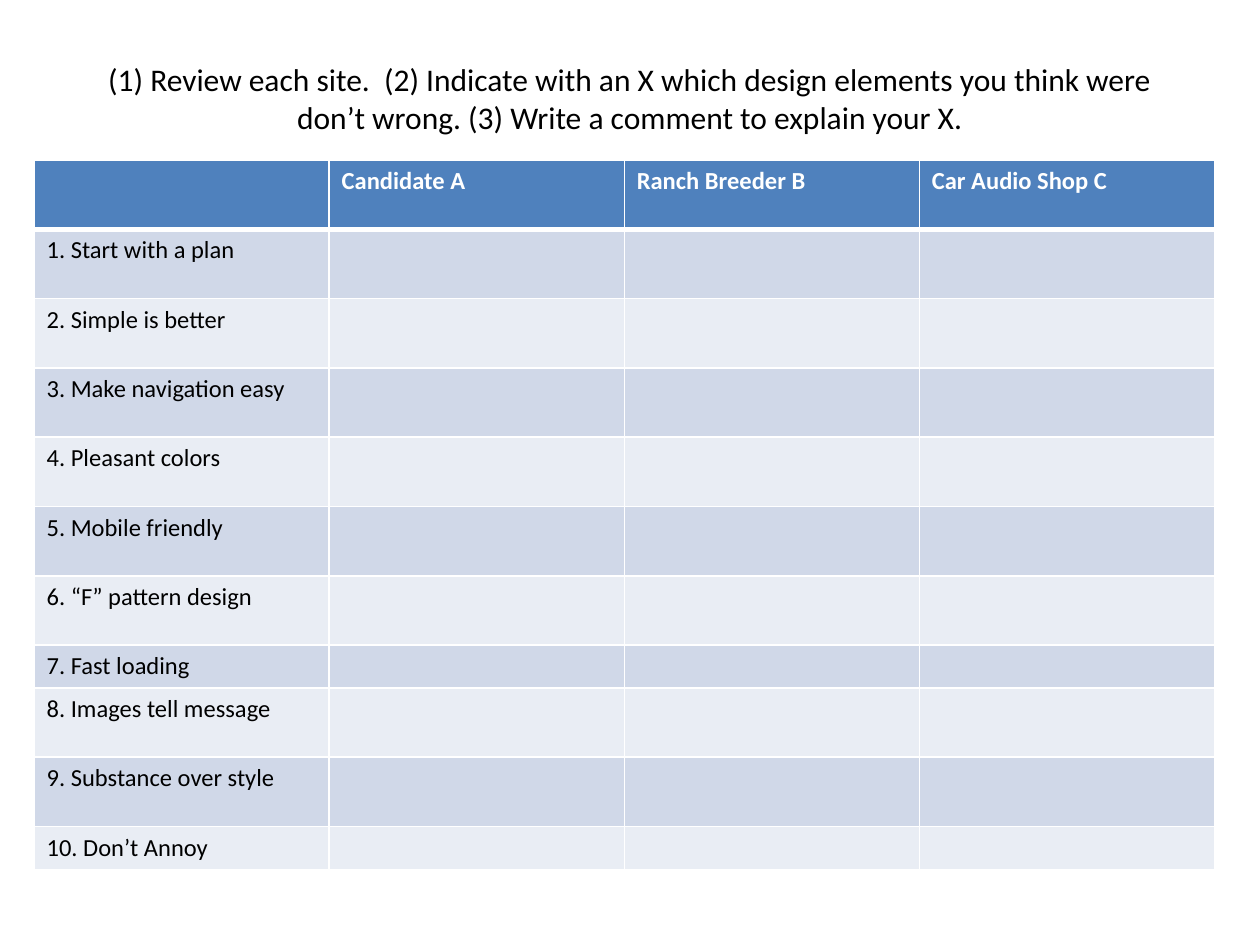
import pptx
import pptx.util
import pptx.dml.color
import pptx.enum.text
import pptx.oxml.ns
from dataclasses import dataclass
from lxml import etree
from pptx.util import Inches


@dataclass(frozen=True)
class Theme:
    font: str = "Calibri"
    title_size: int = 18
    cell_size: int = 14
    ink: str = "000000"
    paper: str = "FFFFFF"
    header: str = "4F81BD"
    bands: tuple = ("D0D8E8", "E9EDF4")
    rule: int = 1
    header_rule: int = 3


TITLE = (
    "(1) Review each site.  (2) Indicate with an X which design elements "
    "you think were don’t wrong. (3) Write a comment to explain your X."
)
SITES = ["Candidate A", "Ranch Breeder B", "Car Audio Shop C"]
ELEMENTS = [
    "Start with a plan",
    "Simple is better",
    "Make navigation easy",
    "Pleasant colors",
    "Mobile friendly",
    "“F” pattern design",
    "Fast loading",
    "Images tell message",
    "Substance over style",
    "Don’t Annoy",
]
SHORT_ROWS = {7, 10}


def rgb(color):
    return pptx.dml.color.RGBColor.from_string(color)


def write(frame, text, *, font, size, color, bold=False, align=None):
    paragraph = frame.paragraphs[0]
    paragraph.alignment = align
    if not text:
        end = etree.SubElement(paragraph._p, pptx.oxml.ns.qn("a:endParaRPr"))
        end.set("sz", str(size * 100))
        return
    run = paragraph.add_run()
    run.text = text
    run.font.name = font
    run.font.size = pptx.util.Pt(size)
    run.font.bold = bold
    run.font.color.rgb = rgb(color)


class SlideBuilder:
    def __init__(self, slide, theme):
        self.slide = slide
        self.theme = theme

    def title(self, text, left, top, width, height):
        heading = self.slide.shapes.title
        heading.left, heading.top = left, top
        heading.width, heading.height = width, height
        frame = heading.text_frame
        frame.word_wrap = True
        frame.auto_size = pptx.enum.text.MSO_AUTO_SIZE.NONE
        frame.vertical_anchor = pptx.enum.text.MSO_ANCHOR.MIDDLE
        write(frame, text, font=self.theme.font, size=self.theme.title_size,
              color=self.theme.ink, align=pptx.enum.text.PP_ALIGN.CENTER)

    def borders(self, cell, **widths):
        properties = cell._tc.get_or_add_tcPr()
        for position, side in enumerate("LRTB"):
            line = etree.Element(pptx.oxml.ns.qn(f"a:ln{side}"))
            line.set("w", str(pptx.util.Pt(widths.get(side, self.theme.rule))))
            fill = etree.SubElement(line, pptx.oxml.ns.qn("a:solidFill"))
            color = etree.SubElement(fill, pptx.oxml.ns.qn("a:srgbClr"))
            color.set("val", self.theme.paper)
            properties.insert(position, line)

    def table(self, rows, heights, left, top, width):
        theme = self.theme
        grid = self.slide.shapes.add_table(
            len(rows), len(rows[0]), left, top, width, sum(heights)).table
        for column in grid.columns:
            column.width = width // len(rows[0])
        for row_index, (row, height) in enumerate(zip(rows, heights)):
            grid.rows[row_index].height = height
            is_header = row_index == 0
            band = theme.header if is_header else theme.bands[(row_index - 1) % 2]
            edges = {0: {"B": theme.header_rule}, 1: {"T": theme.header_rule}}
            for column_index, text in enumerate(row):
                cell = grid.cell(row_index, column_index)
                cell.fill.solid()
                cell.fill.fore_color.rgb = rgb(band)
                self.borders(cell, **edges.get(row_index, {}))
                write(cell.text_frame, text, font=theme.font,
                      size=theme.cell_size, bold=is_header,
                      color=theme.paper if is_header else theme.ink)


def main():
    deck = pptx.Presentation()
    deck.slide_width, deck.slide_height = Inches(10), Inches(7.5)
    slide = deck.slides.add_slide(deck.slide_layouts.get_by_name("Title Only"))
    builder = SlideBuilder(slide, Theme())
    builder.title(TITLE, Inches(0.5), Inches(0.4), Inches(9), Inches(0.76))
    rows = [["", *SITES]]
    rows += [[f"{number}. {element}"] + [""] * len(SITES)
             for number, element in enumerate(ELEMENTS, 1)]
    heights = [Inches(0.34 if index in SHORT_ROWS else 0.55)
               for index in range(len(rows))]
    builder.table(rows, heights, Inches(0.27), Inches(1.27), Inches(9.37))
    deck.save("out.pptx")


if __name__ == "__main__":
    main()
